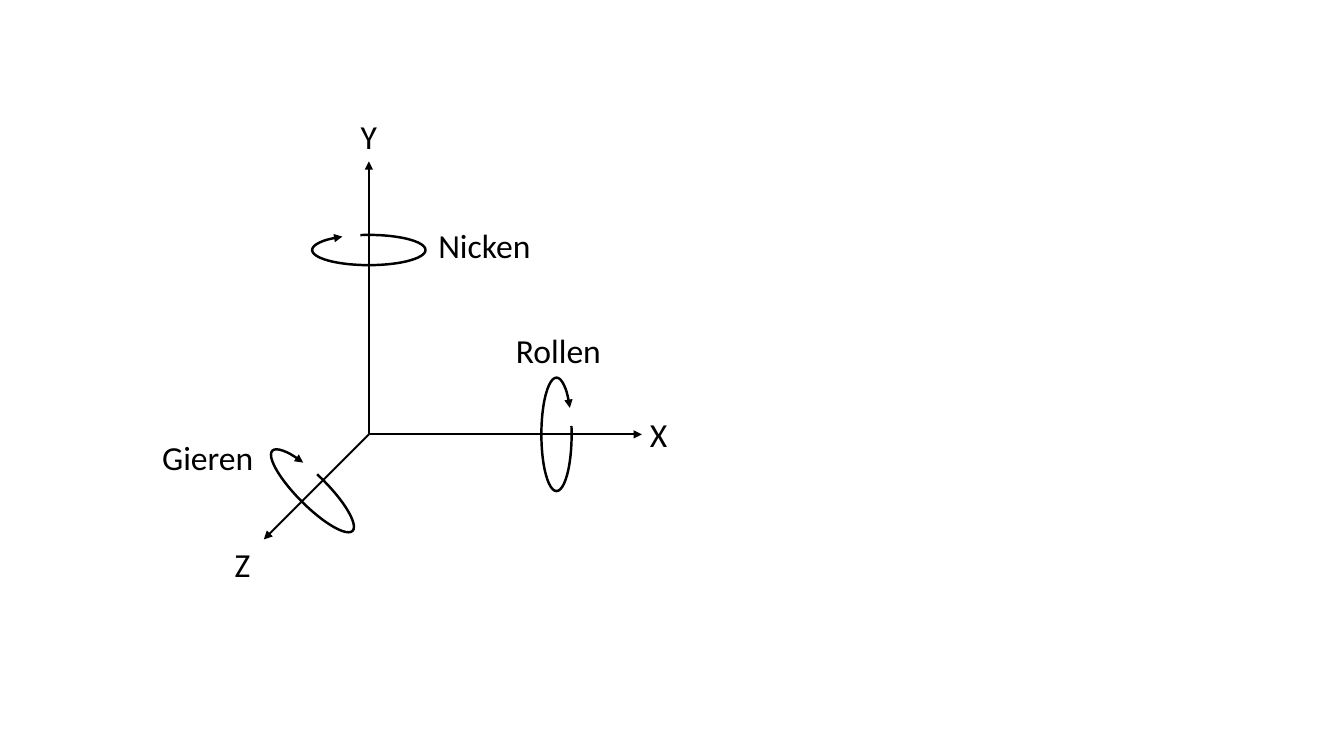
import pptx
import pptx.dml.color
import pptx.enum.shapes
import pptx.enum.text
import pptx.oxml
import pptx.oxml.ns
import pptx.util
from dataclasses import dataclass

Pt = pptx.util.Pt


@dataclass(frozen=True)
class Theme:
    ink: str = "000000"
    font: str = "Calibri"
    label_size: float = 24
    axis_width: float = 1.5
    turn_width: float = 1.75


theme = Theme()
ink = pptx.dml.color.RGBColor.from_string(theme.ink)
presentation = pptx.Presentation()
presentation.slide_width, presentation.slide_height = Pt(960), Pt(540)
slide = presentation.slides.add_slide(presentation.slide_layouts[6])


def draw_arrow(stroke, width):
    stroke.line.color.rgb = ink
    stroke.line.width = Pt(width)
    properties = stroke.element.spPr
    namespace = pptx.oxml.ns.nsdecls("a")
    outline = properties.find(pptx.oxml.ns.qn("a:ln"))
    outline.append(pptx.oxml.parse_xml(f'<a:tailEnd {namespace} type="triangle"/>'))
    properties.append(pptx.oxml.parse_xml(f"<a:effectLst {namespace}/>"))


def add_text(text, left, top, width, height=36, size=theme.label_size, font=theme.font, color=ink):
    label = slide.shapes.add_textbox(Pt(left), Pt(top), Pt(width), Pt(height))
    label.text_frame.word_wrap = False
    label.text_frame.auto_size = pptx.enum.text.MSO_AUTO_SIZE.SHAPE_TO_FIT_TEXT
    run = label.text_frame.paragraphs[0].add_run()
    run.text = text
    run.font.size = Pt(size)
    run.font.name = font
    run.font.color.rgb = color


origin_x, origin_y = 263.5, 310.3
axis_length, depth_offset = 195, 75
for dx, dy in [(0, -axis_length), (axis_length, 0), (-depth_offset, depth_offset)]:
    axis = slide.shapes.add_connector(
        pptx.enum.shapes.MSO_CONNECTOR.STRAIGHT,
        Pt(origin_x), Pt(origin_y), Pt(origin_x + dx), Pt(origin_y + dy),
    )
    draw_arrow(axis, theme.axis_width)

turn_width, turn_height = 81, 21.6
for dx, dy, angle in [(0, -131.7, 0), (134, 0, 90), (-40.3, 40.3, 45)]:
    turn = slide.shapes.add_shape(
        pptx.enum.shapes.MSO_SHAPE.ARC,
        Pt(origin_x + dx - turn_width / 2), Pt(origin_y + dy - turn_height / 2),
        Pt(turn_width), Pt(turn_height),
    )
    turn.rotation = angle
    turn.adjustments[0] = 144.45
    turn.adjustments[1] = 124.09
    turn.fill.background()
    draw_arrow(turn, theme.turn_width)

for text, left, top, width in [
    ("X", 457.2, 292.3, 21.6),
    ("Y", 250.6, 79.2, 25.9),
    ("Z", 160.6, 385.2, 25.9),
    ("Rollen", 361.4, 231.8, 80.6),
    ("Nicken", 306, 157, 80.6),
    ("Gieren", 108.7, 308.2, 80.6),
]:
    add_text(text, left, top, width)

presentation.save("out.pptx")
